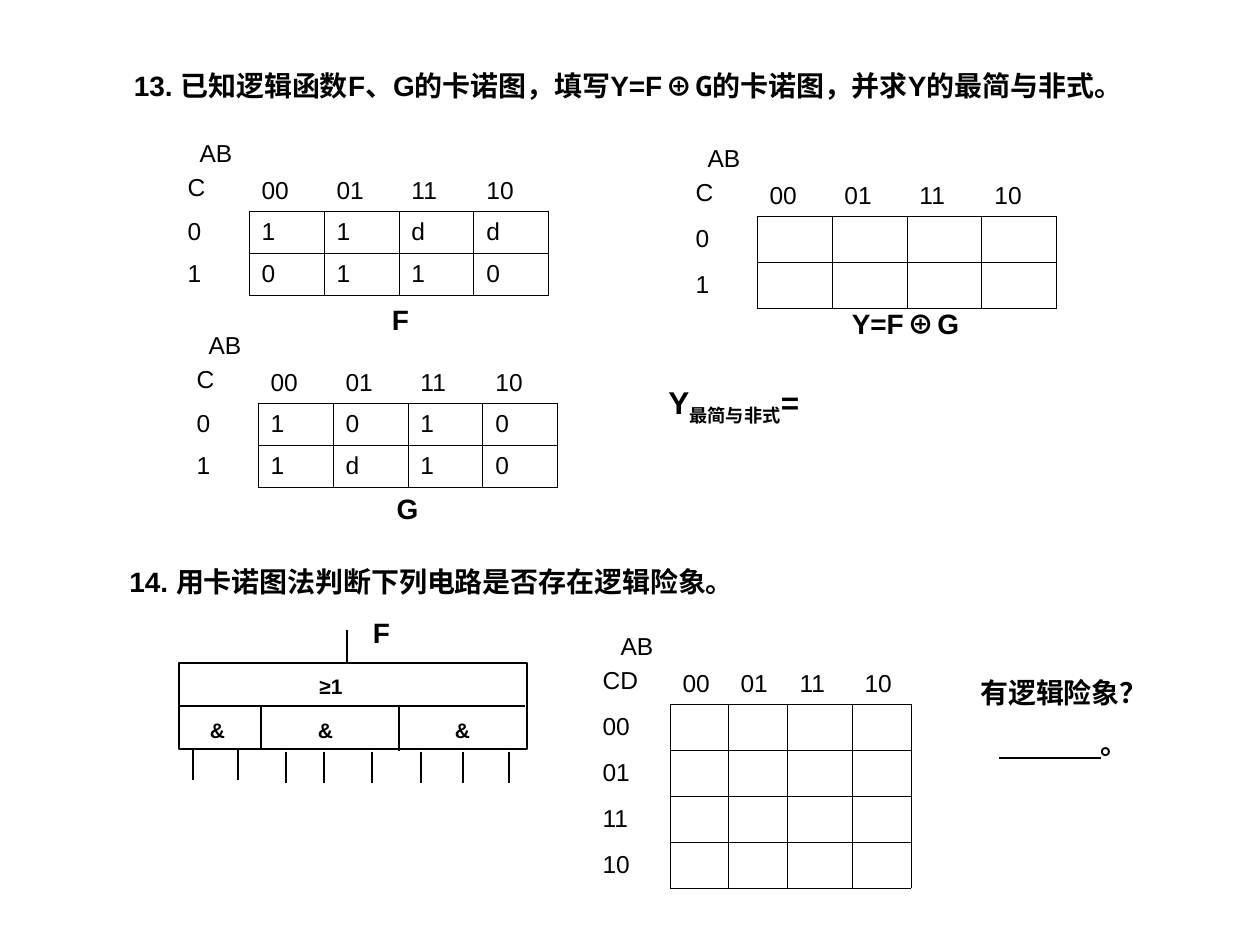
import pptx
import pptx.dml.color
import pptx.enum.shapes
import pptx.enum.text
import pptx.oxml
import pptx.oxml.ns
import pptx.util
from lxml import etree

PX = 914400 / 126
INK, PAPER = "000000", "FFFFFF"
SANS, MONO = "Arial", "Noto Sans Mono"
ALIGN = pptx.enum.text.PP_ALIGN
ANCHOR = pptx.enum.text.MSO_ANCHOR

GRAY_PAIR = ["00", "01", "11", "10"]
HEADER_HEIGHT, FILLED_HEIGHT, BLANK_HEIGHT = 77, 42, 46

# left, top, label width, column widths, corner indent, row variables, row labels, values
KARNAUGH_MAPS = [
    (175, 134, 74, [75] * 4, 12, "C", ["0", "1"], ["11dd", "0110"]),
    (184, 326, 74, [75] * 4, 12, "C", ["0", "1"], ["1010", "1d10"]),
    (683, 139, 74, [75] * 4, 12, "C", ["0", "1"], []),
    (590, 627, 80, [58, 59, 65, 59], 18, "CD", GRAY_PAIR, []),
]

# box, paragraphs, format; a paragraph is a list of (text, run format)
TEXTS = [
    ((108, 62, 1040, 47), [[("13. 已知逻辑函数F、G的卡诺图，填写Y=F", {}), ("⊕G", {"font": MONO}),
                            ("的卡诺图，并求Y的最简与非式。", {})]], {"align": ALIGN.CENTER}),
    ((371, 296, 59, 47), [[("F", {})]], {"align": ALIGN.CENTER}),
    ((380, 485, 55, 47), [[("G", {})]], {"align": ALIGN.CENTER}),
    ((772, 300, 267, 47), [[("Y=F", {}), ("⊕", {"font": MONO}), ("G", {})]],
     {"align": ALIGN.CENTER}),
    ((656, 377, 387, 55), [[("Y", {}), ("最简与非式", {"baseline": -25}), ("=", {})]], {"size": 18}),
    ((117, 558, 761, 47), [[("14. 用卡诺图法判断下列电路是否存在逻辑险象。", {})]], {}),
    ((959, 669, 210, 97), [[("有逻辑险象？", {})], [("。", {})]], {"align": ALIGN.CENTER}),
]
ANSWER_BLANK = (999, 758, 1101, 758)
ANSWER_STOP_INDENT = 129

GATE_BOX = (179, 663, 348, 86)
GATE_LINES = [(180, 706, 525, 706), (261, 706, 261, 749), (399, 706, 399, 751),
              (347, 663, 347, 630)]
CIRCUIT_TEXTS = [
    ((292, 667, 78, 38), [[("≥1", {})]], {"size": 12, "align": ALIGN.CENTER}),
    ((354, 609, 55, 47), [[("F", {})]], {"align": ALIGN.CENTER}),
    ((180, 711, 341, 38), [[("\t&\t&\t&", {})]], {"size": 12, "tabs": [25, 133, 270]}),
]
GATE_INPUTS = [(749, [193, 238]), (752, [286, 324, 372]), (752, [421, 463, 509])]
INPUT_LENGTH = 31


def emu(px):
    return pptx.util.Emu(round(px * PX))


def color(hex_string):
    return pptx.dml.color.RGBColor.from_string(hex_string)


def write_runs(paragraph, runs, size=16, bold=True):
    for text, style in runs:
        run = paragraph.add_run()
        run.text = text
        run.font.size = pptx.util.Pt(size)
        run.font.bold = bold
        run.font.name = style.get("font", SANS)
        run.font.color.rgb = color(INK)
        if "baseline" in style:
            run.font._element.set("baseline", str(style["baseline"] * 1000))


def indent(paragraph, px):
    properties = paragraph._p.get_or_add_pPr()
    properties.set("marL", str(emu(px)))
    properties.set("indent", "0")


def center_tabs(paragraph, stops):
    tab_list = etree.SubElement(paragraph._p.get_or_add_pPr(), pptx.oxml.ns.qn("a:tabLst"))
    for stop in stops:
        etree.SubElement(tab_list, pptx.oxml.ns.qn("a:tab"), pos=str(emu(stop)), algn="ctr")


def add_text(shapes, box, paragraphs, size=16, align=ALIGN.LEFT, tabs=()):
    frame = shapes.add_textbox(*map(emu, box)).text_frame
    frame.word_wrap = True
    frame.auto_size = pptx.enum.text.MSO_AUTO_SIZE.SHAPE_TO_FIT_TEXT
    for index, runs in enumerate(paragraphs):
        paragraph = frame.add_paragraph() if index else frame.paragraphs[0]
        if tabs:
            center_tabs(paragraph, tabs)
        paragraph.alignment = align
        if index:
            paragraph.space_before = pptx.util.Pt(10)
        write_runs(paragraph, runs, size)
    return frame


def add_line(shapes, x1, y1, x2, y2):
    line = shapes.add_connector(pptx.enum.shapes.MSO_CONNECTOR.STRAIGHT,
                                *map(emu, (x1, y1, x2, y2)))
    line.line.color.rgb = color(INK)
    line.line.width = pptx.util.Pt(0.75)
    etree.SubElement(line._element.spPr, pptx.oxml.ns.qn("a:effectLst"))


def set_borders(cell, sides):
    """Draw the sides named in a string of L, R, T, B and clear the others."""
    properties = cell._tc.get_or_add_tcPr()
    for position, side in enumerate("LRTB"):
        border = etree.Element(pptx.oxml.ns.qn(f"a:ln{side}"), w="5715")
        if side in sides:
            fill = etree.SubElement(border, pptx.oxml.ns.qn("a:solidFill"))
            etree.SubElement(fill, pptx.oxml.ns.qn("a:srgbClr"), val=INK)
        else:
            etree.SubElement(border, pptx.oxml.ns.qn("a:noFill"))
        properties.insert(position, border)


def keep_blank_cell_low(paragraph):
    """Give an empty cell a small text size, so that it does not stretch its row."""
    etree.SubElement(paragraph._p, pptx.oxml.ns.qn("a:endParaRPr"), sz="1200")


def add_karnaugh_map(shapes, left, top, label_width, columns, corner_indent,
                     row_variables, labels, values):
    widths = [label_width] + columns
    row_height = FILLED_HEIGHT if values else BLANK_HEIGHT
    heights = [HEADER_HEIGHT] + [row_height] * len(labels)
    grid = [["AB"] + GRAY_PAIR]
    for row, label in enumerate(labels):
        grid.append([label] + list(values[row] if values else [""] * len(columns)))

    table = shapes.add_table(len(heights), len(widths), emu(left), emu(top),
                             emu(sum(widths)), emu(sum(heights))).table
    table.first_row = table.horz_banding = False
    for column, width in zip(table.columns, widths):
        column.width = emu(width)
    for row, height in zip(table.rows, heights):
        row.height = emu(height)

    for r, texts in enumerate(grid):
        for c, text in enumerate(texts):
            cell = table.cell(r, c)
            cell.fill.background()
            set_borders(cell, "LRTB" if r and c else "R" if r else "B" if c else "")
            cell.vertical_anchor = ANCHOR.MIDDLE if r else ANCHOR.BOTTOM if c else ANCHOR.TOP
            paragraph = cell.text_frame.paragraphs[0]
            if text:
                write_runs(paragraph, [(text, {})], 14, False)
            else:
                keep_blank_cell_low(paragraph)

    corner = table.cell(0, 0).text_frame
    indent(corner.paragraphs[0], corner_indent)
    variables = corner.add_paragraph()
    variables.space_before = pptx.util.Pt(3.5)
    write_runs(variables, [(row_variables, {})], 14, False)


def add_circuit(shapes):
    gates = shapes.add_shape(pptx.enum.shapes.MSO_SHAPE.RECTANGLE, *map(emu, GATE_BOX))
    gates.shadow.inherit = False
    gates.fill.solid()
    gates.fill.fore_color.rgb = color(PAPER)
    gates.line.color.rgb = color(INK)
    gates.line.width = pptx.util.Pt(0.75)
    for ends in GATE_LINES:
        add_line(shapes, *ends)
    for box, paragraphs, style in CIRCUIT_TEXTS:
        add_text(shapes, box, paragraphs, **style)
    for top, inputs in GATE_INPUTS:
        for x in inputs:
            add_line(shapes, x, top, x, top + INPUT_LENGTH)


def main():
    deck = pptx.Presentation()
    deck.slide_width, deck.slide_height = emu(1260), emu(945)
    shapes = deck.slides.add_slide(deck.slide_layouts[6]).shapes
    for karnaugh_map in KARNAUGH_MAPS:
        add_karnaugh_map(shapes, *karnaugh_map)
    for box, paragraphs, style in TEXTS:
        frame = add_text(shapes, box, paragraphs, **style)
    answer = frame.paragraphs[-1]
    answer.alignment = ALIGN.LEFT
    indent(answer, ANSWER_STOP_INDENT)
    add_line(shapes, *ANSWER_BLANK)
    add_circuit(shapes.add_group_shape().shapes)
    deck.save("out.pptx")


if __name__ == "__main__":
    main()
